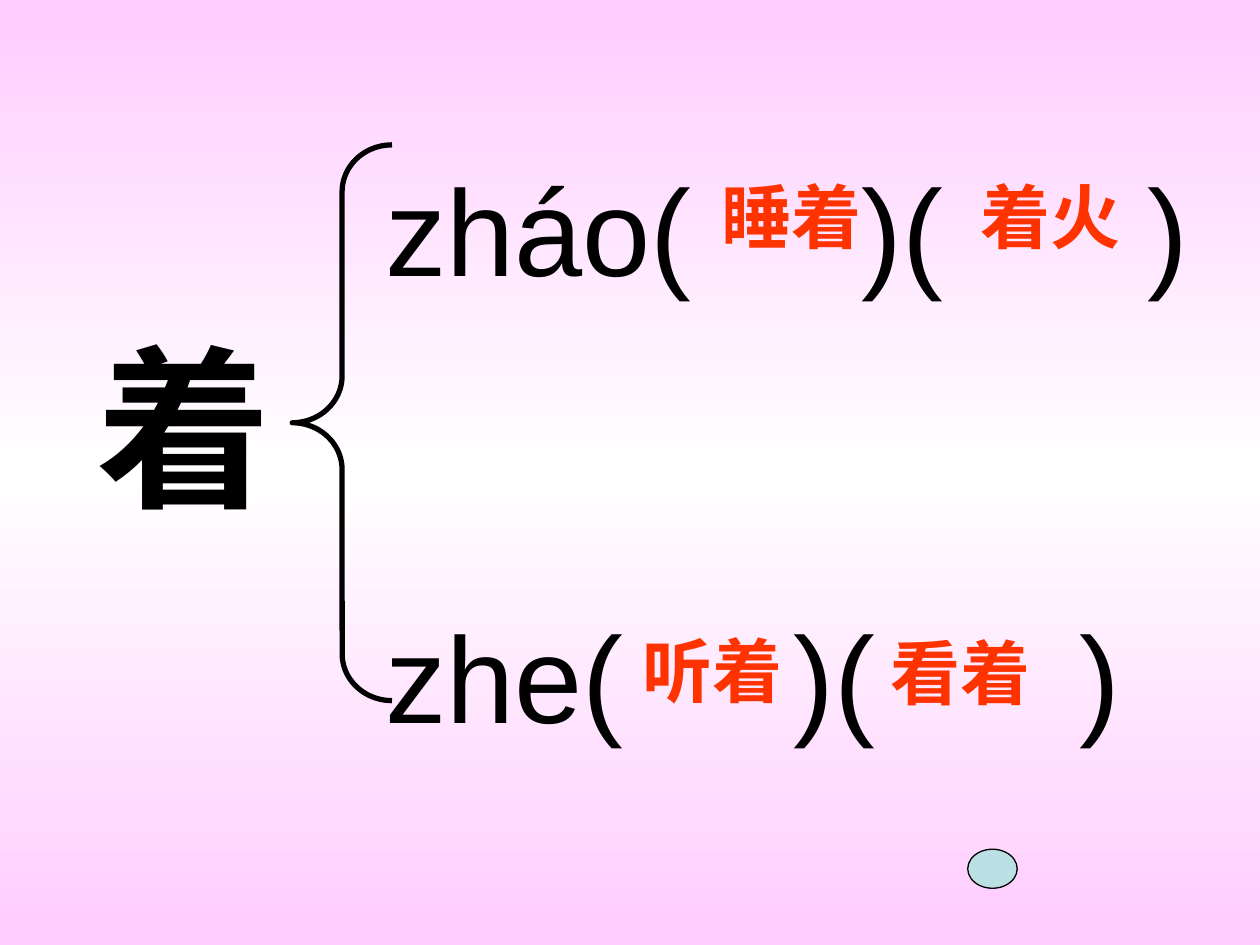
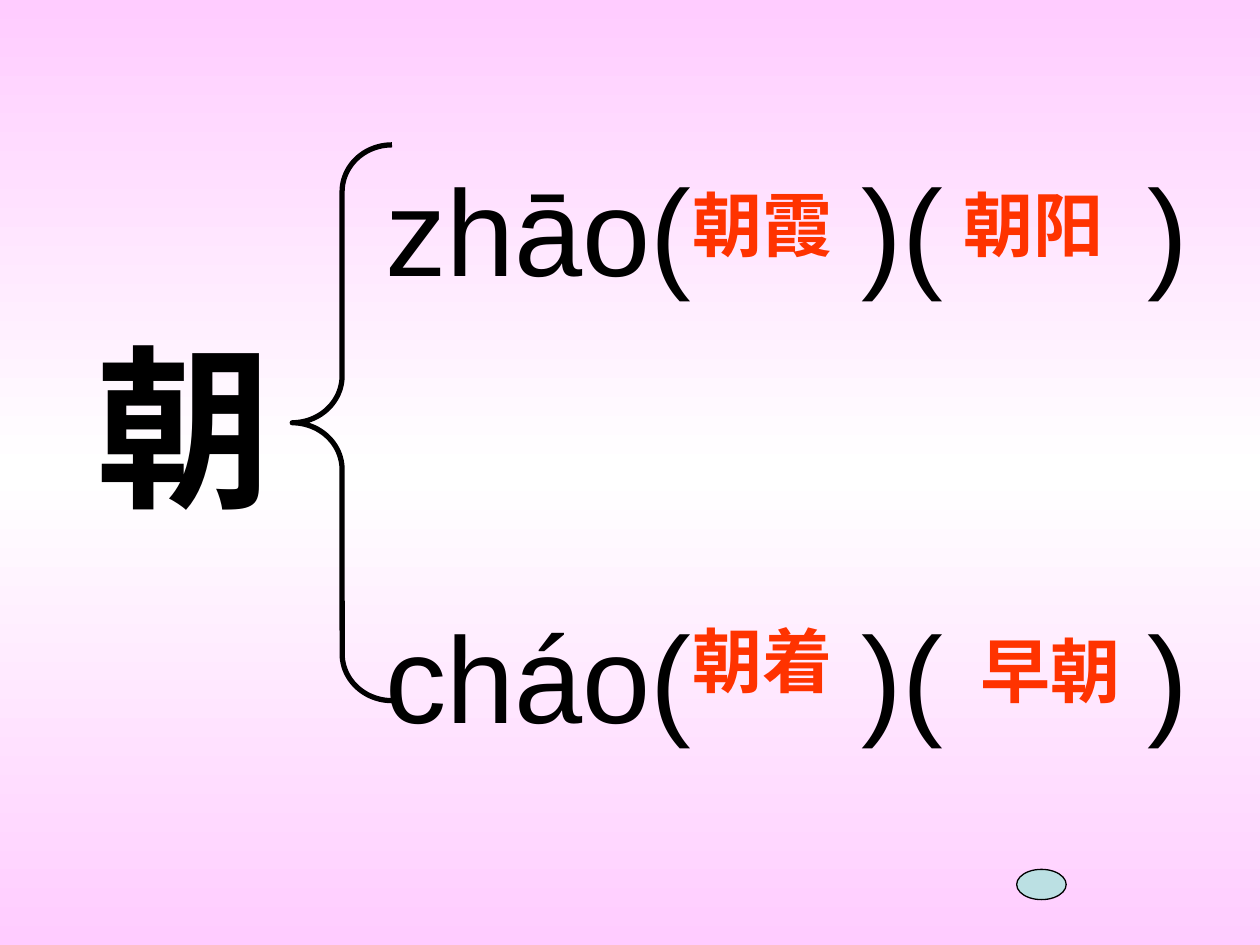
"""Build two slides on characters that have more than one reading."""
from copy import deepcopy

from pptx import Presentation
from pptx.dml.color import RGBColor
from pptx.enum.shapes import MSO_SHAPE
from pptx.util import Pt

BRACE, OVAL = MSO_SHAPE.LEFT_BRACE, MSO_SHAPE.OVAL
FONT = "Arial"
COLORS = {"ink": "000000", "answer": "FF3300", "dot": "BBE0E3",
          "edge": "FFCCFF", "middle": "FFFFFF"}
BACKGROUND = [(0, "edge"), (0.5, "middle"), (1, "edge")]

SLIDES = [
    {"character": "着",
     "readings": ["zháo", "zhe"],
     "answers": [("睡着", 405.4, 95.8), ("着火", 553, 95.8),
                 ("看着", 501.8, 356.4), ("听着", 360, 355)],
     "dot": (553, 485.3, 28.3, 22.3)},
    {"character": "朝",
     "readings": ["zhāo", "cháo"],
     "answers": [("朝霞", 388.8, 100), ("朝阳", 543.6, 100),
                 ("朝着", 388.8, 349.2), ("早朝", 553, 355)],
     "dot": (581, 496.8, 28.3, 17.3)},
]

READING_SIZE = 70
READING_GAP = 171.5
LETTER = 0.556 * READING_SIZE
BRACKET = 0.333 * READING_SIZE
BLANKS = (97.3, 116.8)


def rgb(name):
    return RGBColor.from_string(COLORS[name])


def paint_background(s):
    fill = s.background.fill
    fill.gradient()
    fill.gradient_angle = 90
    stops = s._element.xpath(".//a:gsLst")[0]
    stops.append(deepcopy(stops[0]))
    for stop, (position, name) in zip(fill.gradient_stops, BACKGROUND):
        stop.position = position
        stop.color.rgb = rgb(name)


def style(p, size, color, bold=False):
    p.font.name, p.font.size, p.font.bold = FONT, Pt(size), bold
    p.font.color.rgb = rgb(color)


def add_text(s, box, text, size, color, bold=False, wrap=True):
    tf = s.shapes.add_textbox(*map(Pt, box)).text_frame
    tf.word_wrap = wrap
    tf.text = text
    for p in tf.paragraphs:
        style(p, size, color, bold)
    return tf


def add_shape(s, kind, box, line_width, fill=None):
    sp = s.shapes.add_shape(kind, *map(Pt, box))
    sp.shadow.inherit = False
    if fill:
        sp.fill.solid()
        sp.fill.fore_color.rgb = rgb(fill)
    else:
        sp.fill.background()
    sp.line.color.rgb = rgb("ink")
    sp.line.width = Pt(line_width)
    return sp


def add_tabs(p, reading):
    tabs = p._p.get_or_add_pPr().makeelement(
        "{http://schemas.openxmlformats.org/drawingml/2006/main}tabLst")
    first = (len(reading) - 0.1) * LETTER + BRACKET + BLANKS[0]
    for position in (first, first + 2 * BRACKET + BLANKS[1]):
        tab = tabs.makeelement(tabs.tag.replace("tabLst", "tab"))
        tab.set("pos", str(Pt(position)))
        tab.set("algn", "l")
        tabs.append(tab)
    p._p.get_or_add_pPr().insert(0, tabs)


def add_readings(s, readings):
    tf = s.shapes.add_textbox(Pt(213), Pt(77), Pt(480), Pt(428)).text_frame
    tf.word_wrap = True
    tf.margin_top = Pt(11)
    for i, reading in enumerate(readings):
        p = tf.add_paragraph() if i else tf.paragraphs[0]
        p.add_run().text = f"{reading}(\t)(\t)"
        add_tabs(p, reading)
        if i:
            p.space_before = Pt(READING_GAP)
        style(p, READING_SIZE, "ink")


def main():
    prs = Presentation()
    prs.slide_width, prs.slide_height = Pt(720), Pt(540)
    for content in SLIDES:
        s = prs.slides.add_slide(prs.slide_layouts[6])
        paint_background(s)
        add_text(s, (48, 179, 648, 356), content["character"], 100, "ink", True)
        brace = add_shape(s, BRACE, (167, 82.8, 57, 317.6), 3)
        brace.adjustments[0] = 0.47
        add_readings(s, content["readings"])
        for word, left, top in content["answers"]:
            add_text(s, (left, top, 94.3, 55.4), word, 40, "answer", True, False)
        add_shape(s, OVAL, content["dot"], 0.75, "dot")
    prs.save("out.pptx")


if __name__ == "__main__":
    main()
